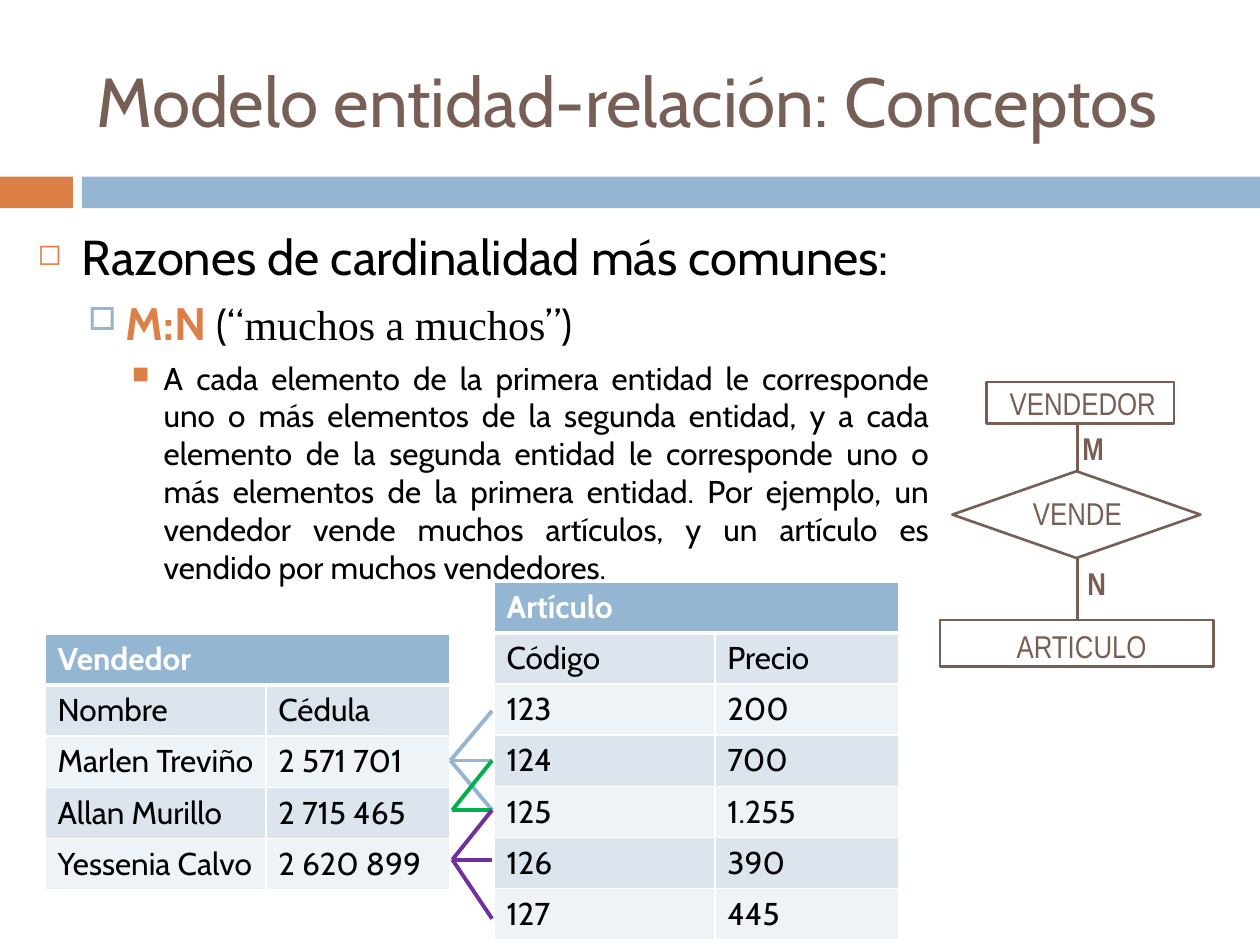
from typing import NamedTuple

from lxml.etree import SubElement
from pptx import Presentation
from pptx.dml.color import RGBColor
from pptx.enum.shapes import MSO_CONNECTOR, MSO_SHAPE
from pptx.enum.text import MSO_ANCHOR, PP_ALIGN
from pptx.oxml.ns import qn
from pptx.util import Cm, Pt

WHITE = RGBColor(0xFF, 0xFF, 0xFF)
BLACK = RGBColor(0, 0, 0)
BROWN = RGBColor(0x77, 0x5F, 0x55)
ORANGE = RGBColor(0xDD, 0x80, 0x47)
BLUE = RGBColor(0x94, 0xB6, 0xD2)
GREEN = RGBColor(0x00, 0xB0, 0x50)
PURPLE = RGBColor(0x70, 0x30, 0xA0)
DARK_BAND = RGBColor(0xDC, 0xE5, 0xEE)
LIGHT_BAND = RGBColor(0xEE, 0xF3, 0xF7)

CABIN = "Cabin"
NARROW = "Arial Narrow"
SERIF = "Times New Roman"


class Box(NamedTuple):
    """Left, top, width and height in centimetres."""
    left: float
    top: float
    width: float
    height: float


class Run(NamedTuple):
    text: str
    size: float = 18
    color: RGBColor = BLACK
    font: str = CABIN
    bold: bool = False


class Bullet(NamedTuple):
    symbol: str
    color: RGBColor
    percent: int
    margin: float
    hanging: float
    space_before: float
    runs: list[Run]


class EntityTable(NamedTuple):
    left: float
    top: float
    name: str
    rows: list[tuple[str, str]]


class Link(NamedTuple):
    start: tuple[float, float]
    end: tuple[float, float]
    color: RGBColor


def add_runs(paragraph, runs: list[Run]) -> None:
    for item in runs:
        run = paragraph.add_run()
        run.text = item.text
        run.font.size = Pt(item.size)
        run.font.name = item.font
        run.font.bold = item.bold
        run.font.color.rgb = item.color


def set_margins(frame, left: float, top: float, right: float, bottom: float) -> None:
    frame.margin_left, frame.margin_top = Cm(left), Cm(top)
    frame.margin_right, frame.margin_bottom = Cm(right), Cm(bottom)


def add_block(slide, kind, box: Box, fill=None, line=None):
    shape = slide.shapes.add_shape(kind, *map(Cm, box))
    shape.shadow.inherit = False
    if fill is None:
        shape.fill.background()
    else:
        shape.fill.solid()
        shape.fill.fore_color.rgb = fill
    if line is None:
        shape.line.fill.background()
    else:
        shape.line.color.rgb = line
        shape.line.width = Pt(1.5)
    return shape


def add_text(slide, box: Box, runs: list[Run], align=PP_ALIGN.LEFT,
             anchor=MSO_ANCHOR.TOP, wrap: bool = True):
    frame = slide.shapes.add_textbox(*map(Cm, box)).text_frame
    frame.word_wrap = wrap
    frame.vertical_anchor = anchor
    frame.paragraphs[0].alignment = align
    add_runs(frame.paragraphs[0], runs)
    return frame


def add_entity(slide, box: Box, name: str, margins: tuple) -> None:
    frame = add_block(slide, MSO_SHAPE.RECTANGLE, box, line=BROWN).text_frame
    set_margins(frame, *margins)
    frame.vertical_anchor = MSO_ANCHOR.MIDDLE
    frame.paragraphs[0].alignment = PP_ALIGN.CENTER
    add_runs(frame.paragraphs[0], [Run(name, color=BROWN, font=NARROW)])


def add_line(slide, link: Link, width: float) -> None:
    line = slide.shapes.add_connector(
        MSO_CONNECTOR.STRAIGHT, *map(Cm, link.start + link.end))
    line.line.color.rgb = link.color
    line.line.width = Pt(width)
    SubElement(line._element.spPr, qn("a:effectLst"))


def add_bullets(slide, box: Box, bullets: list[Bullet]) -> None:
    frame = slide.shapes.add_textbox(*map(Cm, box)).text_frame
    frame.word_wrap = True
    for index, bullet in enumerate(bullets):
        paragraph = frame.add_paragraph() if index else frame.paragraphs[0]
        paragraph.alignment = PP_ALIGN.JUSTIFY
        paragraph.level = index
        paragraph.space_before = Pt(bullet.space_before)
        properties = paragraph._p.get_or_add_pPr()
        properties.set("marL", str(Cm(bullet.margin)))
        properties.set("indent", str(-Cm(bullet.hanging)))
        color = SubElement(properties, qn("a:buClr"))
        SubElement(color, qn("a:srgbClr"), val=str(bullet.color))
        SubElement(properties, qn("a:buSzPct"), val=str(bullet.percent * 1000))
        SubElement(properties, qn("a:buChar"), char=bullet.symbol)
        add_runs(paragraph, bullet.runs)


def style_cell(cell, fill: RGBColor, bottom_width: float) -> None:
    """Set white borders on all sides, then the fill."""
    properties = cell._tc.get_or_add_tcPr()
    for side, width in (("L", 1), ("R", 1), ("T", 1), ("B", bottom_width)):
        border = SubElement(properties, qn(f"a:ln{side}"), w=str(Pt(width)))
        SubElement(SubElement(border, qn("a:solidFill")), qn("a:srgbClr"), val=str(WHITE))
    cell.fill.solid()
    cell.fill.fore_color.rgb = fill


def add_entity_table(slide, entity: EntityTable) -> None:
    widths, row_height = (4.45, 3.71), 1.03
    count = len(entity.rows) + 1
    box = Box(entity.left, entity.top, sum(widths), row_height * count)
    table = slide.shapes.add_table(count, 2, *map(Cm, box)).table
    for column, width in zip(table.columns, widths):
        column.width = Cm(width)
    for row in table.rows:
        row.height = Cm(row_height)
    for column in range(2):
        style_cell(table.cell(0, column), BLUE, 3)
    table.cell(0, 0).merge(table.cell(0, 1))
    add_runs(table.cell(0, 0).text_frame.paragraphs[0],
             [Run(entity.name, color=WHITE, bold=True)])
    for index, values in enumerate(entity.rows, start=1):
        for column, value in enumerate(values):
            cell = table.cell(index, column)
            style_cell(cell, DARK_BAND if index % 2 else LIGHT_BAND, 1)
            add_runs(cell.text_frame.paragraphs[0], [Run(value)])


BULLETS = [
    Bullet("◻", ORANGE, 60, 0.89, 0.89, 7,
           [Run("Razones de cardinalidad más comunes:", 28)]),
    Bullet("□", BLUE, 70, 1.78, 0.76, 5.5,
           [Run("M:N ", 26, ORANGE, bold=True), Run("(“", 24),
            Run("muchos a muchos", 24, font=SERIF), Run("”)", 24)]),
    Bullet("■", ORANGE, 75, 2.54, 0.64, 5,
           [Run("A cada elemento de la primera entidad le corresponde uno o más "
                "elementos de la segunda entidad, y a cada elemento de la segunda "
                "entidad le corresponde uno o más elementos de la primera entidad. "
                "Por ejemplo, un vendedor vende muchos artículos, y un artículo es "
                "vendido por muchos vendedores.")]),
]
TABLES = [
    EntityTable(0.91, 12.78, "Vendedor", [
        ("Nombre", "Cédula"), ("Marlen Treviño", "2 571 701"),
        ("Allan Murillo", "2 715 465"), ("Yessenia Calvo", "2 620 899")]),
    EntityTable(9.96, 11.73, "Artículo", [
        ("Código", "Precio"), ("123", "200"), ("124", "700"),
        ("125", "1.255"), ("126", "390"), ("127", "445")]),
]
ARTICLE_X = 9.92
ARTICLE_Y = {123: 14.33, 124: 15.33, 125: 16.33, 126: 17.33, 127: 18.52}
SALES = [
    ((9.08, 15.33), BLUE, (123, 124, 125)),
    ((9.12, 16.33), GREEN, (124, 125)),
    ((9.12, 17.33), PURPLE, (125, 126, 127)),
]


def add_diagram(slide) -> None:
    axis = 21.72
    add_entity(slide, Box(19.89, 7.7, 3.78, 0.84), "VENDEDOR", (0.2, 0.03, 0.1, 0.03))
    add_entity(slide, Box(18.95, 12.5, 5.51, 0.94), "ARTICULO", (0.2, 0.13, 0, 0.03))
    for top, bottom in ((8.51, 9.58), (11.05, 12.52)):
        add_line(slide, Link((axis, top), (axis, bottom), BROWN), 1.5)
    add_block(slide, MSO_SHAPE.DIAMOND, Box(19.2, 9.5, 5, 1.75), WHITE, BROWN)
    add_text(slide, Box(20.55, 9.83, 2.34, 1.02),
             [Run("VENDE", color=BROWN, font=NARROW)], PP_ALIGN.CENTER, wrap=False)
    for text, left, top in (("M", 21.82, 8.51), ("N", 21.92, 11.25)):
        frame = add_text(slide, Box(left, top, 1.17, 0.94),
                         [Run(text, color=BROWN, font=NARROW, bold=True)])
        set_margins(frame, 0, 0.13, 0, 0.03)


def main() -> None:
    presentation = Presentation()
    presentation.slide_width, presentation.slide_height = Cm(25.4), Cm(19.05)
    slide = presentation.slides.add_slide(presentation.slide_layouts[6])
    add_block(slide, MSO_SHAPE.RECTANGLE, Box(0, 3.56, 1.47, 0.64), ORANGE)
    add_block(slide, MSO_SHAPE.RECTANGLE, Box(1.65, 3.56, 23.75, 0.64), BLUE)
    add_bullets(slide, Box(0.51, 4.45, 18.47, 13.06), BULLETS)
    add_text(slide, Box(1.7, 0.64, 22.66, 2.74),
             [Run("Modelo entidad-relación: Conceptos", 39.6, BROWN)],
             anchor=MSO_ANCHOR.MIDDLE)
    add_diagram(slide)
    for entity in TABLES:
        add_entity_table(slide, entity)
    for start, color, articles in SALES:
        for article in articles:
            add_line(slide, Link(start, (ARTICLE_X, ARTICLE_Y[article]), color), 2.25)
    presentation.save("out.pptx")


if __name__ == "__main__":
    main()
